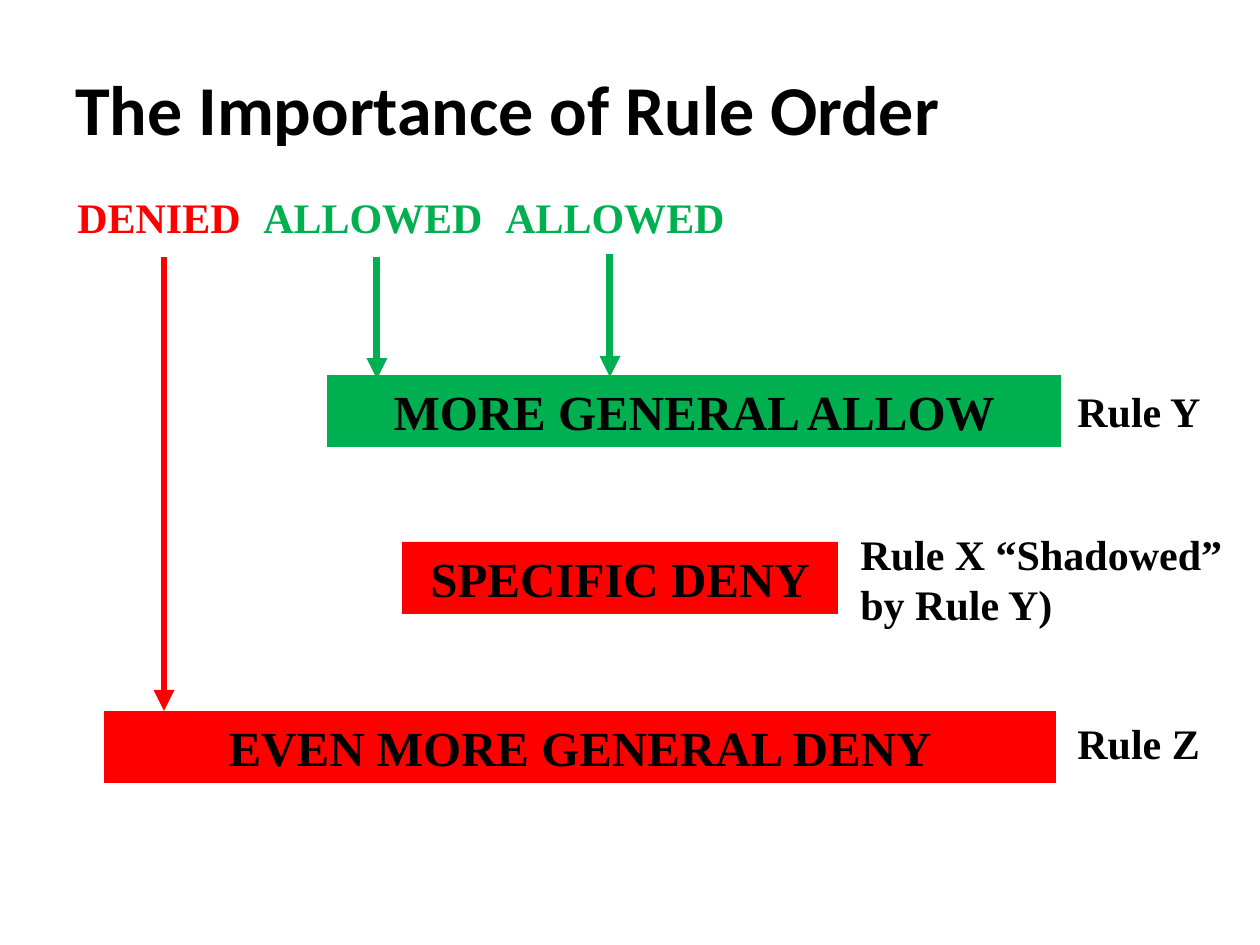
from dataclasses import dataclass

from lxml import etree
from pptx import Presentation
from pptx import util as u
from pptx.dml import color
from pptx.enum import shapes, text
from pptx.oxml import ns

SCALE = 914400 / 126


@dataclass(frozen=True)
class Theme:
    black: str = "000000"
    red: str = "FF0000"
    green: str = "00B050"
    head: str = "Calibri"
    body: str = "Times New Roman"
    title: int = 40
    bar: int = 28
    label: int = 24
    line: int = 4


T = Theme()


@dataclass(frozen=True)
class Bar:
    words: str
    left: int
    top: int
    width: int
    fill: str
    height: int = 72


@dataclass(frozen=True)
class Label:
    words: str
    left: int
    top: int
    width: int
    height: int = 63
    ink: str = T.black
    size: int = T.label
    font: str = T.body
    align: text.PP_ALIGN = text.PP_ALIGN.LEFT
    anchor: text.MSO_ANCHOR = text.MSO_ANCHOR.TOP


@dataclass(frozen=True)
class Arrow:
    x: int
    top: int
    end: int
    ink: str


def px(n: int) -> u.Emu:
    return u.Emu(round(n * SCALE))


def rgb(ink: str) -> color.RGBColor:
    return color.RGBColor.from_string(ink)


def write(shape, words: str, size: int, font: str, ink: str, align, anchor) -> None:
    frame = shape.text_frame
    frame.word_wrap = True
    frame.vertical_anchor = anchor
    para = frame.paragraphs[0]
    para.alignment = align
    run = para.add_run()
    run.text = words
    run.font.name = font
    run.font.size = u.Pt(size)
    run.font.bold = True
    run.font.color.rgb = rgb(ink)


def draw_bar(slide, bar: Bar) -> None:
    box = slide.shapes.add_shape(
        shapes.MSO_SHAPE.RECTANGLE,
        px(bar.left), px(bar.top), px(bar.width), px(bar.height),
    )
    box.shadow.inherit = False
    box.fill.solid()
    box.fill.fore_color.rgb = rgb(bar.fill)
    box.line.fill.background()
    write(box, bar.words, T.bar, T.body, T.black,
          text.PP_ALIGN.CENTER, text.MSO_ANCHOR.TOP)


def draw_label(slide, label: Label) -> None:
    box = slide.shapes.add_textbox(
        px(label.left), px(label.top), px(label.width), px(label.height)
    )
    write(box, label.words, label.size, label.font, label.ink,
          label.align, label.anchor)


def draw_arrow(slide, arrow: Arrow) -> None:
    line = slide.shapes.add_connector(
        shapes.MSO_CONNECTOR.STRAIGHT,
        px(arrow.x), px(arrow.top), px(arrow.x), px(arrow.end),
    )
    line.line.color.rgb = rgb(arrow.ink)
    line.line.width = u.Pt(T.line)
    props = line.line._get_or_add_ln()
    etree.SubElement(props, ns.qn("a:tailEnd"), type="triangle")
    etree.SubElement(line._element.spPr, ns.qn("a:effectLst"))


def verdict(words: str, left: int, ink: str) -> Label:
    return Label(words, left, 185, 250, ink=ink, align=text.PP_ALIGN.CENTER)


TITLE = Label("The Importance of Rule Order", 63, 39, 1134, 137,
              size=T.title, font=T.head, anchor=text.MSO_ANCHOR.MIDDLE)
BARS = [
    Bar("SPECIFIC DENY", 402, 542, 436, T.red),
    Bar("MORE GENERAL ALLOW", 327, 375, 734, T.green),
    Bar("EVEN MORE GENERAL DENY", 104, 711, 952, T.red),
]
LABELS = [
    verdict("DENIED", 34, T.red),
    verdict("ALLOWED", 248, T.green),
    verdict("ALLOWED", 490, T.green),
    Label("Rule Y", 1065, 379, 150),
    Label("Rule X “Shadowed” by Rule Y)", 848, 522, 397, 113),
    Label("Rule Z", 1065, 711, 180),
]
ARROWS = [
    Arrow(164, 257, 711, T.red),
    Arrow(377, 257, 379, T.green),
    Arrow(610, 254, 377, T.green),
]


def main() -> None:
    deck = Presentation()
    deck.slide_width, deck.slide_height = px(1260), px(945)
    slide = deck.slides.add_slide(deck.slide_layouts[6])
    draw_label(slide, TITLE)
    for bar in BARS:
        draw_bar(slide, bar)
    for label in LABELS:
        draw_label(slide, label)
    for arrow in ARROWS:
        draw_arrow(slide, arrow)
    deck.save("out.pptx")


if __name__ == "__main__":
    main()
